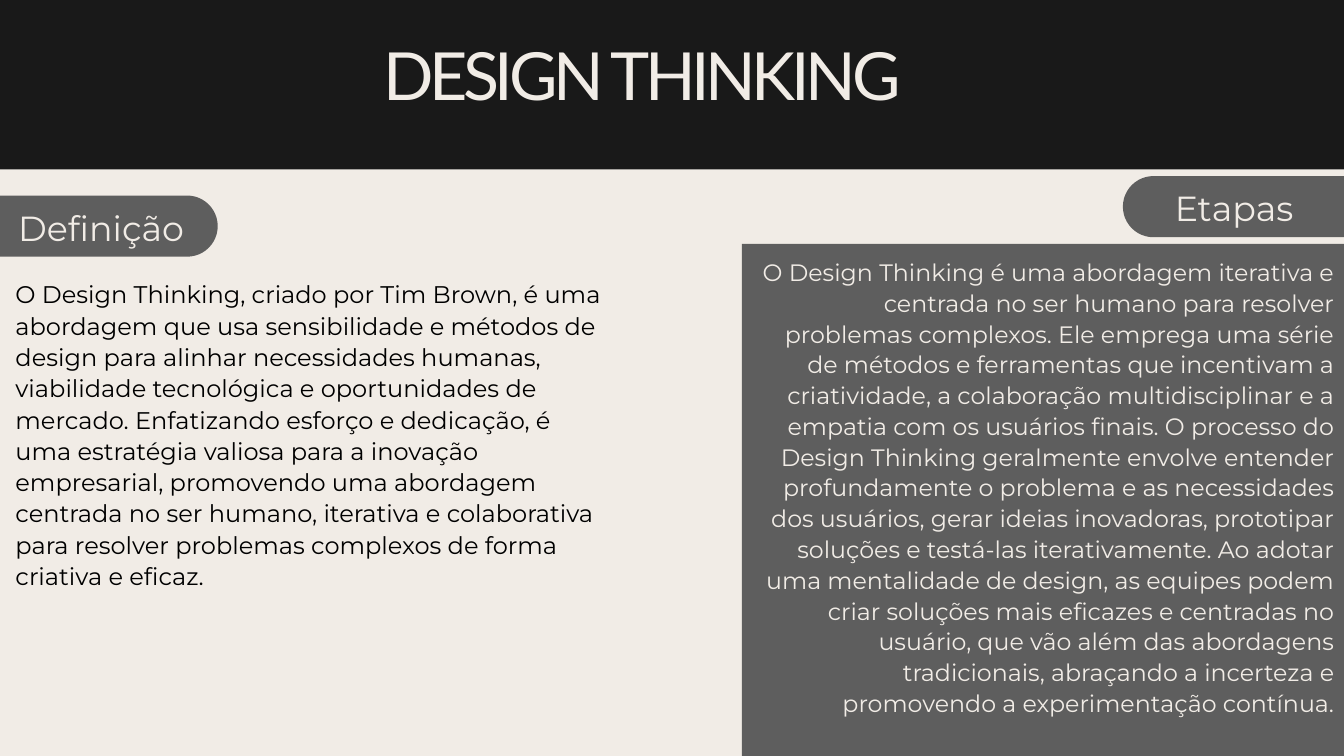
from pptx import Presentation
from pptx import util as u
from pptx.dml import color as c
from pptx.enum import shapes, text

hues = {"dark": "191919", "cream": "F1ECE6", "gray": "5E5E5E", "black": "000000"}
deck = Presentation()
deck.slide_width, deck.slide_height = u.Inches(20), u.Inches(11.25)
col = deck.slide_width / 20       # grid of 20 columns
row = deck.slide_height / 11.25   # by 11.25 rows, square cells
slide = deck.slides.add_slide(deck.slide_layouts[5])
back = slide.background.fill
back.solid()
back.fore_color.rgb = c.RGBColor.from_string(hues["dark"])


def draw(kind, x, y, w, h, hue):
    shape = slide.shapes.add_shape(
        kind, int(x * col), int(y * row), int(w * col), int(h * row))
    shape.shadow.inherit = False
    shape.fill.solid()
    shape.fill.fore_color.rgb = c.RGBColor.from_string(hues[hue])
    shape.line.fill.background()
    return shape


def write(box, x, y, w, h, words, face, size, lead, hue, side):
    box.left, box.top = int(x * col), int(y * row)
    box.width, box.height = int(w * col), int(h * row)
    frame = box.text_frame
    frame.word_wrap = True
    frame.auto_size = text.MSO_AUTO_SIZE.NONE
    frame.vertical_anchor = text.MSO_ANCHOR.TOP
    frame.margin_left = frame.margin_right = 0
    frame.margin_top = frame.margin_bottom = 0
    para = frame.paragraphs[0]
    para.alignment = side
    para.line_spacing = u.Pt(lead)
    run = para.add_run()
    run.text = words
    run.font.name, run.font.size = face, u.Pt(size)
    run.font.color.rgb = c.RGBColor.from_string(hues[hue])
    return run


rect = shapes.MSO_SHAPE.RECTANGLE
pill = shapes.MSO_SHAPE.ROUNDED_RECTANGLE
left, mid, right = text.PP_ALIGN.LEFT, text.PP_ALIGN.CENTER, text.PP_ALIGN.RIGHT

# Title on the dark band, with tight letter spacing
run = write(slide.shapes.title, 5.7, 0.85, 8.61, 0.93, "DESIGN THINKING",
            "Lato", 71.1, 60.4, "cream", left)
run._r.get_or_add_rPr().set("spc", "-460")

# Page and right-hand panel
draw(rect, 0, 2.52, 20, 8.73, "cream")
draw(rect, 11.04, 3.63, 8.96, 7.62, "gray")

# Heading tabs that run off the slide's sides
for words, x, y, start in (("Definição", -0.56, 2.91, 0.21),
                           ("Etapas", 16.71, 2.62, 17.07)):
    tab = draw(pill, x, y, 3.8, 0.91, "gray")
    tab.adjustments[0] = 0.5
    write(slide.shapes.add_textbox(0, 0, 0, 0), start, y + 0.11, 2.59, 0.64,
          words, "Montserrat", 37.3, 48.5, "cream", mid)

# Body text
about = (
    "O Design Thinking, criado por Tim Brown, é uma abordagem que usa "
    "sensibilidade e métodos de design para alinhar necessidades humanas, "
    "viabilidade tecnológica e oportunidades de mercado. Enfatizando esforço "
    "e dedicação, é uma estratégia valiosa para a inovação empresarial, "
    "promovendo uma abordagem centrada no ser humano, iterativa e "
    "colaborativa para resolver problemas complexos de forma criativa e "
    "eficaz.")
steps = (
    "O Design Thinking é uma abordagem iterativa e centrada no ser humano "
    "para resolver problemas complexos. Ele emprega uma série de métodos e "
    "ferramentas que incentivam a criatividade, a colaboração "
    "multidisciplinar e a empatia com os usuários finais. O processo do "
    "Design Thinking geralmente envolve entender profundamente o problema e "
    "as necessidades dos usuários, gerar ideias inovadoras, prototipar "
    "soluções e testá-las iterativamente. Ao adotar uma mentalidade de "
    "design, as equipes podem criar soluções mais eficazes e centradas no "
    "usuário, que vão além das abordagens tradicionais, abraçando a "
    "incerteza e promovendo a experimentação contínua.")
for words, x, y, w, h, size, lead, hue, side in (
        (about, 0.23, 4.13, 8.85, 5.11, 25.8, 33.5, "black", left),
        (steps, 11.33, 3.8, 8.53, 7.22, 25.4, 33, "cream", right)):
    write(slide.shapes.add_textbox(0, 0, 0, 0), x, y, w, h,
          words, "Montserrat", size, lead, hue, side)

deck.save("out.pptx")
